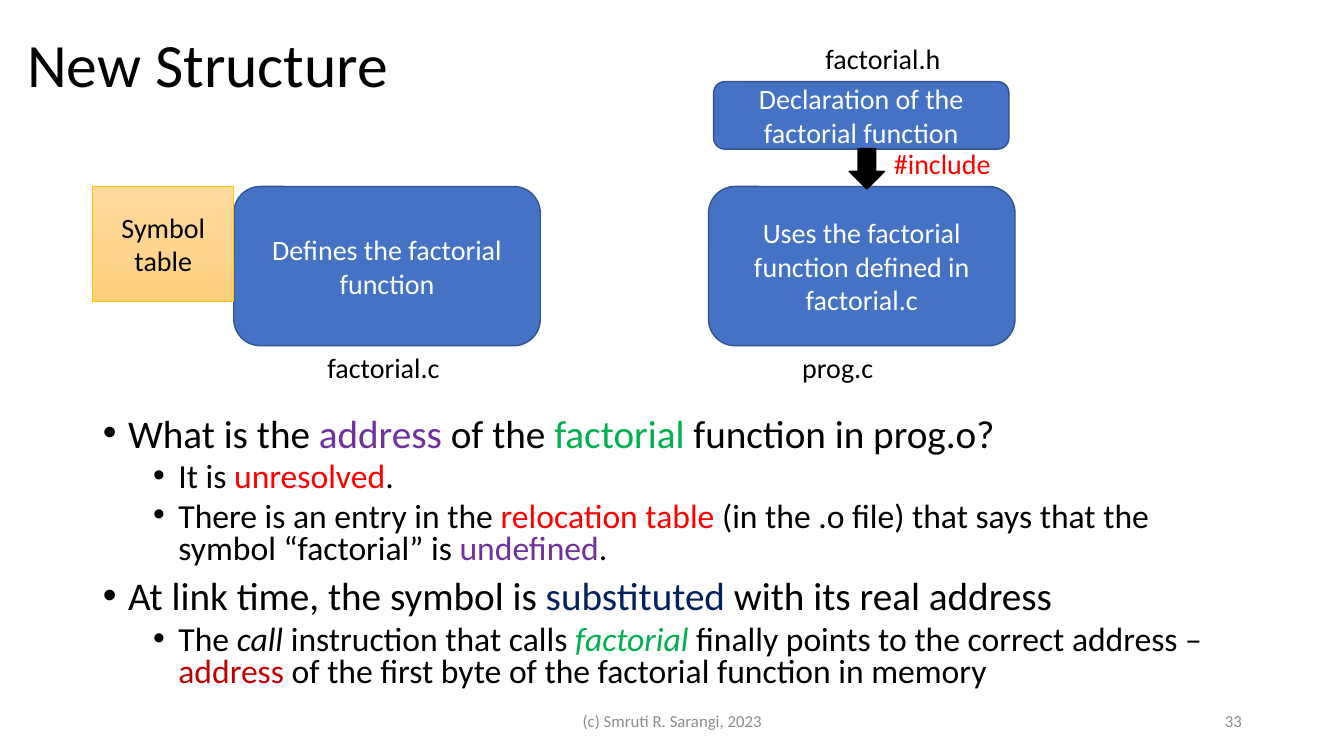
"""Build the slide on the new structure of the factorial program."""
from copy import deepcopy
from dataclasses import dataclass

from lxml.etree import SubElement
from pptx import Presentation
from pptx.dml.color import RGBColor
from pptx.enum.shapes import MSO_SHAPE
from pptx.enum.text import MSO_ANCHOR, MSO_AUTO_SIZE, PP_ALIGN
from pptx.oxml.ns import qn
from pptx.util import Pt

BLACK, WHITE, GRAY, RED = "000000", "FFFFFF", "8C8C8C", "FF0000"
PURPLE, GREEN, NAVY, DARK_RED = "7030A0", "00B050", "002060", "C00000"
BLUE, BLUE_EDGE, GOLD = "4472C4", "325491", "FFC000"
GOLD_STOPS = ("FFDB9E", "FFD590", "FFD07C")
FILE_TOP, FILE_WIDTH, FILE_HEIGHT = 133.2, 218.88, 113.76
LABEL_HEIGHT = 31.68
FOOTER_TOP, FOOTER_HEIGHT = 500.4, 28.8


@dataclass
class Span:
    text: str
    color: str = BLACK
    italic: bool = False


@dataclass
class Bullet:
    level: int
    spans: list[Span]


@dataclass
class Block:
    text: str
    left: float
    top: float
    width: float
    height: float
    kind: MSO_SHAPE = MSO_SHAPE.ROUNDED_RECTANGLE
    fills: tuple[str, ...] = (BLUE,)
    edge: str = BLUE_EDGE
    weight: float = 1
    color: str = WHITE
    rotation: float = 0


@dataclass
class Label:
    text: str
    left: float
    top: float
    width: float
    height: float = LABEL_HEIGHT
    color: str = BLACK
    size: float = 20
    wrap: bool = False
    align: PP_ALIGN = PP_ALIGN.LEFT
    anchor: MSO_ANCHOR = MSO_ANCHOR.TOP


BULLETS = [
    Bullet(0, [Span("What is the "), Span("address", PURPLE), Span(" of the "),
               Span("factorial", GREEN), Span(" function in prog.o?")]),
    Bullet(1, [Span("It is "), Span("unresolved", RED), Span(".")]),
    Bullet(1, [Span("There is an entry in the "), Span("relocation table ", RED),
               Span("(in the .o file) that says that the symbol “factorial” is "),
               Span("undefined", PURPLE), Span(".")]),
    Bullet(0, [Span("At link time, the symbol is "), Span("substituted", NAVY),
               Span(" with its real address")]),
    Bullet(1, [Span("The "), Span("call", italic=True),
               Span(" instruction that calls "), Span("factorial", GREEN, True),
               Span(" finally points to the correct address – "),
               Span("address", DARK_RED),
               Span(" of the first byte of the factorial function in memory")]),
]
BLOCKS = [
    Block("Defines the factorial function", 167.04, FILE_TOP, FILE_WIDTH, FILE_HEIGHT),
    Block("Uses the factorial function defined in factorial.c",
          506.16, FILE_TOP, FILE_WIDTH, FILE_HEIGHT),
    Block("Declaration of the factorial function", 509.76, 58.32, 210.96, 48.24),
    Block("", 604.8, 108, 28.8, 25.2, MSO_SHAPE.RIGHT_ARROW, (BLACK,), BLACK,
          rotation=90),
    Block("Symbol table", 66.24, FILE_TOP, 100.8, 82.08, MSO_SHAPE.RECTANGLE,
          GOLD_STOPS, GOLD, 0.5, BLACK),
]
LABELS = [
    Label("factorial.c", 226.8, FILE_TOP + FILE_HEIGHT, 98.64),
    Label("prog.c", 565.92, FILE_TOP + FILE_HEIGHT, 65.52),
    Label("factorial.h", 582.48, 25.92, 97.92),
    Label("#include", 631.44, 100.8, 84.24, color=RED),
    Label("(c) Smruti R. Sarangi, 2023", 318.24, FOOTER_TOP, 324, FOOTER_HEIGHT,
          GRAY, 12, True, PP_ALIGN.CENTER, MSO_ANCHOR.MIDDLE),
    Label("33", 678.24, FOOTER_TOP, 216, FOOTER_HEIGHT,
          GRAY, 12, True, PP_ALIGN.RIGHT, MSO_ANCHOR.MIDDLE),
]


def rgb(value: str) -> RGBColor:
    """Turn a hex string into a colour."""
    return RGBColor.from_string(value)


def apply(target: object, values: dict) -> None:
    """Set every named attribute of the target."""
    for name, value in values.items():
        setattr(target, name, value)


def place(box, left: float, top: float, width: float, height: float) -> None:
    """Move and size a box, in points."""
    apply(box, {"left": Pt(left), "top": Pt(top),
                "width": Pt(width), "height": Pt(height)})


def add_span(para, span: Span, size: float) -> None:
    """Append one formatted run to a paragraph."""
    run = para.add_run()
    run.text = span.text
    apply(run.font, {"name": "Calibri", "size": Pt(size), "italic": span.italic})
    run.font.color.rgb = rgb(span.color)


def write(box, span: Span, size: float, align: PP_ALIGN, anchor: MSO_ANCHOR,
          wrap: bool = True, spacing: float = 1) -> None:
    """Write a single paragraph into a box."""
    apply(box.text_frame, {"word_wrap": wrap, "vertical_anchor": anchor,
                           "auto_size": MSO_AUTO_SIZE.NONE})
    para = box.text_frame.paragraphs[0]
    apply(para, {"alignment": align, "line_spacing": spacing})
    add_span(para, span, size)


def fill_body(body, bullets: list[Bullet]) -> None:
    """Write the bulleted list into the body placeholder."""
    frame = body.text_frame
    apply(frame, {"word_wrap": True, "auto_size": MSO_AUTO_SIZE.NONE,
                  "vertical_anchor": MSO_ANCHOR.TOP})
    for index, bullet in enumerate(bullets):
        para = frame.add_paragraph() if index else frame.paragraphs[0]
        properties = para._p.get_or_add_pPr()
        properties.set("marL", str(Pt(18 + 36 * bullet.level)))
        properties.set("indent", str(Pt(-18)))
        SubElement(properties, qn("a:buFont"), typeface="Arial")
        SubElement(properties, qn("a:buChar"), char="•")
        before = (10, 5)[bullet.level] if index else 0
        apply(para, {"level": bullet.level, "line_spacing": 0.8,
                     "space_before": Pt(before), "alignment": PP_ALIGN.LEFT})
        for span in bullet.spans:
            add_span(para, span, 28 - 4 * bullet.level)


def paint(shape, fills: tuple[str, ...]) -> None:
    """Fill a shape with one colour or a downward gradient of three."""
    if len(fills) == 1:
        shape.fill.solid()
        shape.fill.fore_color.rgb = rgb(fills[0])
        return
    shape.fill.gradient()
    shape.fill.gradient_angle = 270
    stop_list = next(shape._element.iter(qn("a:gsLst")))
    stop_list.insert(1, deepcopy(stop_list[0]))
    for index, (stop, color) in enumerate(zip(shape.fill.gradient_stops, fills)):
        stop.position = index / (len(fills) - 1)
        stop.color.rgb = rgb(color)


def add_block(page, block: Block) -> None:
    """Draw one filled shape with its text."""
    shape = page.shapes.add_shape(block.kind, 0, 0, 0, 0)
    place(shape, block.left, block.top, block.width, block.height)
    shape.rotation = block.rotation
    shape.shadow.inherit = False
    paint(shape, block.fills)
    shape.line.color.rgb = rgb(block.edge)
    shape.line.width = Pt(block.weight)
    if block.text:
        write(shape, Span(block.text, block.color), 20, PP_ALIGN.CENTER,
              MSO_ANCHOR.MIDDLE)


def add_label(page, label: Label) -> None:
    """Add one text box."""
    box = page.shapes.add_textbox(0, 0, 0, 0)
    place(box, label.left, label.top, label.width, label.height)
    write(box, Span(label.text, label.color), label.size, label.align,
          label.anchor, label.wrap)


def main() -> None:
    """Build and save the deck."""
    deck = Presentation()
    apply(deck, {"slide_width": Pt(960), "slide_height": Pt(540)})
    page = deck.slides.add_slide(deck.slide_layouts[1])
    title, body = page.shapes.title, page.placeholders[1]
    place(title, 12.24, -3.6, 828, 104.4)
    write(title, Span("New Structure"), 44, PP_ALIGN.LEFT, MSO_ANCHOR.MIDDLE,
          spacing=0.9)
    place(body, 66.24, 295.2, 828, 213.12)
    fill_body(body, BULLETS)
    for block in BLOCKS:
        add_block(page, block)
    for label in LABELS:
        add_label(page, label)
    deck.save("out.pptx")


if __name__ == "__main__":
    main()
